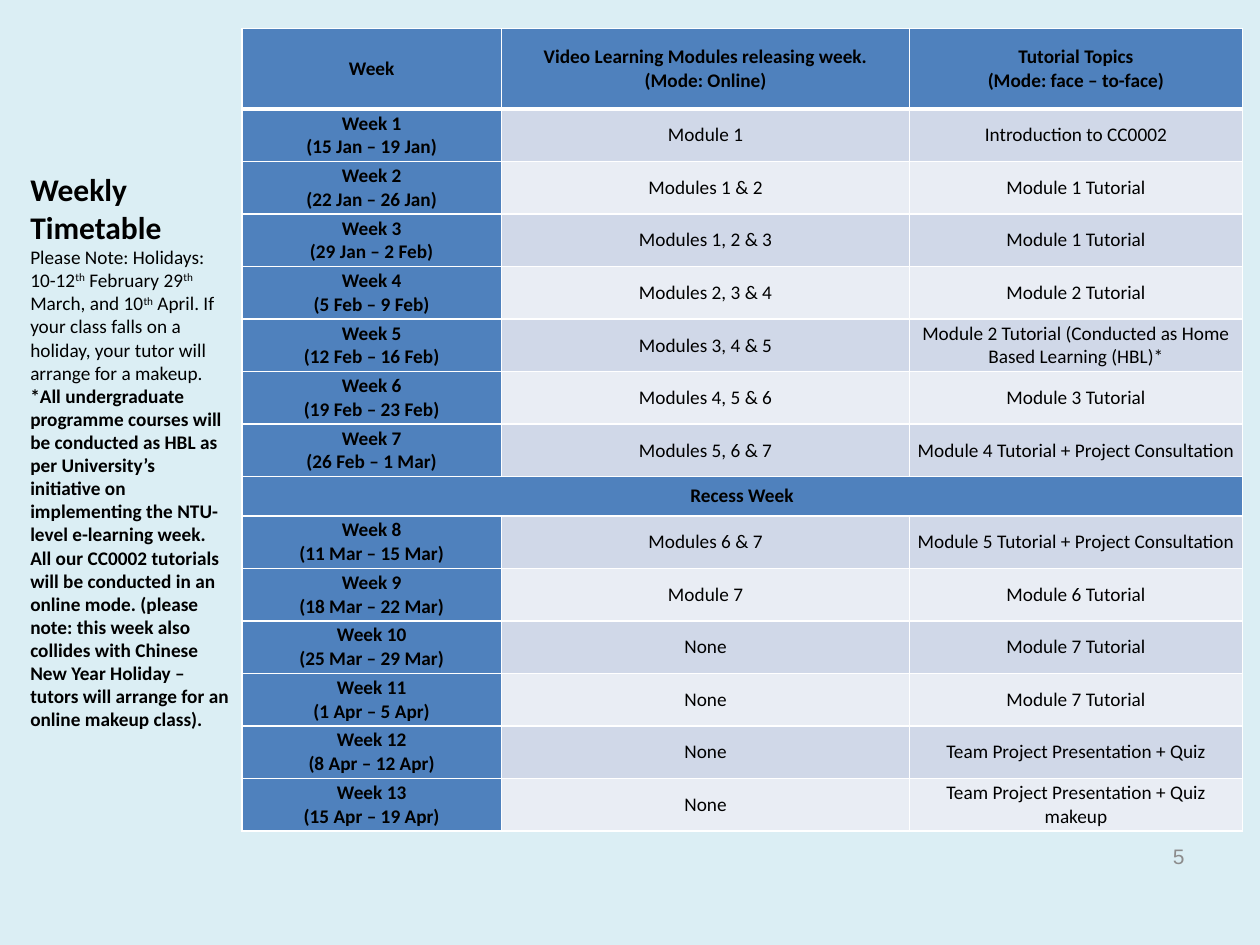
from lxml import etree
from pptx import Presentation
from pptx.dml.color import RGBColor
from pptx.enum.text import MSO_ANCHOR, MSO_AUTO_SIZE, PP_ALIGN
from pptx.oxml.ns import qn
from pptx.util import Inches, Pt

LEFT, CENTER, RIGHT = PP_ALIGN.LEFT, PP_ALIGN.CENTER, PP_ALIGN.RIGHT
MIDDLE, NO_FIT = MSO_ANCHOR.MIDDLE, MSO_AUTO_SIZE.NONE

BACKGROUND = RGBColor(0xDB, 0xEE, 0xF4)
BLUE = RGBColor(0x4F, 0x81, 0xBD)
BAND_DARK = RGBColor(0xD0, 0xD8, 0xE8)
BAND_LIGHT = RGBColor(0xE9, 0xED, 0xF4)
WHITE = RGBColor(0xFF, 0xFF, 0xFF)
BLACK = RGBColor(0, 0, 0)
GREY = RGBColor(0x8C, 0x8C, 0x8C)

COL_WIDTHS = (2.06, 3.24, 2.64)
HEADER_HEIGHT, RECESS_HEIGHT, WEEK_HEIGHT = 0.64, 0.31, 0.417

HEADER = ("Week",
          "Video Learning Modules releasing week.\n(Mode: Online)",
          "Tutorial Topics\n(Mode: face – to-face)")
RECESS = ("Recess Week",)
# Dates, modules released, tutorial topic
WEEKS = [
    ("15 Jan – 19 Jan", "Module 1", "Introduction to CC0002"),
    ("22 Jan – 26 Jan", "Modules 1 & 2", "Module 1 Tutorial"),
    ("29 Jan – 2 Feb", "Modules 1, 2 & 3", "Module 1 Tutorial"),
    ("5 Feb – 9 Feb", "Modules 2, 3 & 4", "Module 2 Tutorial"),
    ("12 Feb – 16 Feb", "Modules 3, 4 & 5",
     "Module 2 Tutorial (Conducted as Home Based Learning (HBL)*"),
    ("19 Feb – 23 Feb", "Modules 4, 5 & 6", "Module 3 Tutorial"),
    ("26 Feb – 1 Mar", "Modules 5, 6 & 7", "Module 4 Tutorial + Project Consultation"),
    ("11 Mar – 15 Mar", "Modules 6 & 7", "Module 5 Tutorial + Project Consultation"),
    ("18 Mar – 22 Mar", "Module 7", "Module 6 Tutorial"),
    ("25 Mar – 29 Mar", "None", "Module 7 Tutorial"),
    ("1 Apr – 5 Apr", "None", "Module 7 Tutorial"),
    ("8 Apr – 12 Apr", "None", "Team Project Presentation + Quiz"),
    ("15 Apr – 19 Apr", "None", "Team Project Presentation + Quiz makeup"),
]
RECESS_ROW = 8

# Title paragraphs: size, bold, runs (every second run is superscript)
TITLE = [
    (18, True, ["Weekly Timetable"]),
    (11, False, ["Please Note: Holidays: 10-12", "th", " February 29", "th",
                 " March, and 10", "th",
                 " April. If your class falls on a holiday, your tutor will "
                 "arrange for a makeup."]),
    (11, True, ["*All undergraduate programme courses will be conducted as HBL "
                "as per University’s initiative on implementing the NTU-level "
                "e-learning week. All our CC0002 tutorials will be conducted in "
                "an online mode. (please note: this week also collides with "
                "Chinese New Year Holiday – tutors will arrange for an online "
                "makeup class)."]),
]


class TimetableSlide:
    font = "Calibri"
    size = 11

    def __init__(self, prs):
        self.width, self.height = prs.slide_width, prs.slide_height
        self.s = prs.slides.add_slide(prs.slide_layouts[5])
        fill = self.s.background.fill
        fill.solid()
        fill.fore_color.rgb = BACKGROUND

    def box(self, x, y, w, h):
        """Turn shares of the slide into lengths."""
        return (round(x * self.width), round(y * self.height),
                round(w * self.width), round(h * self.height))

    def style(self, p, align, size=None, bold=False, color=BLACK, font=None):
        p.alignment = align
        p.font.name = font or self.font
        p.font.size = Pt(size or self.size)
        p.font.bold = bold
        p.font.color.rgb = color

    def title(self, paragraphs, *share):
        sp = self.s.shapes.title
        sp.left, sp.top, sp.width, sp.height = self.box(*share)
        tf = sp.text_frame
        tf.word_wrap, tf.auto_size, tf.vertical_anchor = True, NO_FIT, MIDDLE
        for i, (size, bold, runs) in enumerate(paragraphs):
            p = tf.add_paragraph() if i else tf.paragraphs[0]
            self.style(p, LEFT, size, bold)
            for j, text in enumerate(runs):
                r = p.add_run()
                r.text = text
                if j % 2:
                    r.font._element.set("baseline", "30000")

    def page_number(self, text, *share):
        tf = self.s.shapes.add_textbox(*self.box(*share)).text_frame
        tf.word_wrap, tf.vertical_anchor = True, MIDDLE
        tf.text = text
        self.style(tf.paragraphs[0], RIGHT, 12, color=GREY, font="Arial")

    def border(self, cell, side, points):
        ln = etree.SubElement(cell._tc.get_or_add_tcPr(), qn("a:ln" + side),
                              w=str(Pt(points)))
        fill = etree.SubElement(ln, qn("a:solidFill"))
        etree.SubElement(fill, qn("a:srgbClr"), val=str(WHITE))

    def cell(self, cell, text, fill, bold, top, bottom):
        cell.margin_left = cell.margin_right = Inches(0.04)
        cell.margin_top = cell.margin_bottom = 0
        cell.vertical_anchor = MIDDLE
        for side, points in zip("LRTB", (1, 1, top, bottom)):
            self.border(cell, side, points)
        cell.fill.solid()
        cell.fill.fore_color.rgb = fill
        cell.text = text
        for p in cell.text_frame.paragraphs:
            self.style(p, CENTER, bold=bold)

    def table(self, rows, heights, widths, *share):
        tbl = self.s.shapes.add_table(len(rows), len(widths),
                                      *self.box(*share)).table
        for col, width in zip(tbl.columns, widths):
            col.width = Inches(width)
        for i, (texts, height) in enumerate(zip(rows, heights)):
            tbl.rows[i].height = Inches(height)
            full_width = len(texts) == 1
            if full_width:
                tbl.cell(i, 0).merge(tbl.cell(i, len(widths) - 1))
            band = BAND_DARK if i % 2 else BAND_LIGHT
            for j, text in enumerate(texts + ("",) * (len(widths) - len(texts))):
                strong = i == 0 or j == 0 or full_width
                self.cell(tbl.cell(i, j), text, BLUE if strong else band, strong,
                          top=3 if i == 1 else 1, bottom=3 if i == 0 else 1)


def main():
    prs = Presentation()
    prs.slide_width, prs.slide_height = Inches(10), Inches(7.5)
    slide = TimetableSlide(prs)

    # Side title with notes
    slide.title(TITLE, 0.014, 0.24, 0.178, 0.473)

    # Page number
    slide.page_number("5", 0.717, 0.88, 0.233, 0.053)

    # Timetable with the recess row between weeks 7 and 8
    rows = [HEADER] + [(f"Week {n}\n({dates})", modules, topic)
                       for n, (dates, modules, topic) in enumerate(WEEKS, 1)]
    heights = [HEADER_HEIGHT] + [WEEK_HEIGHT] * len(WEEKS)
    rows.insert(RECESS_ROW, RECESS)
    heights.insert(RECESS_ROW, RECESS_HEIGHT)
    slide.table(rows, heights, COL_WIDTHS, 0.192, 0.03, 0.794, 0.85)

    prs.save("out.pptx")


if __name__ == "__main__":
    main()
